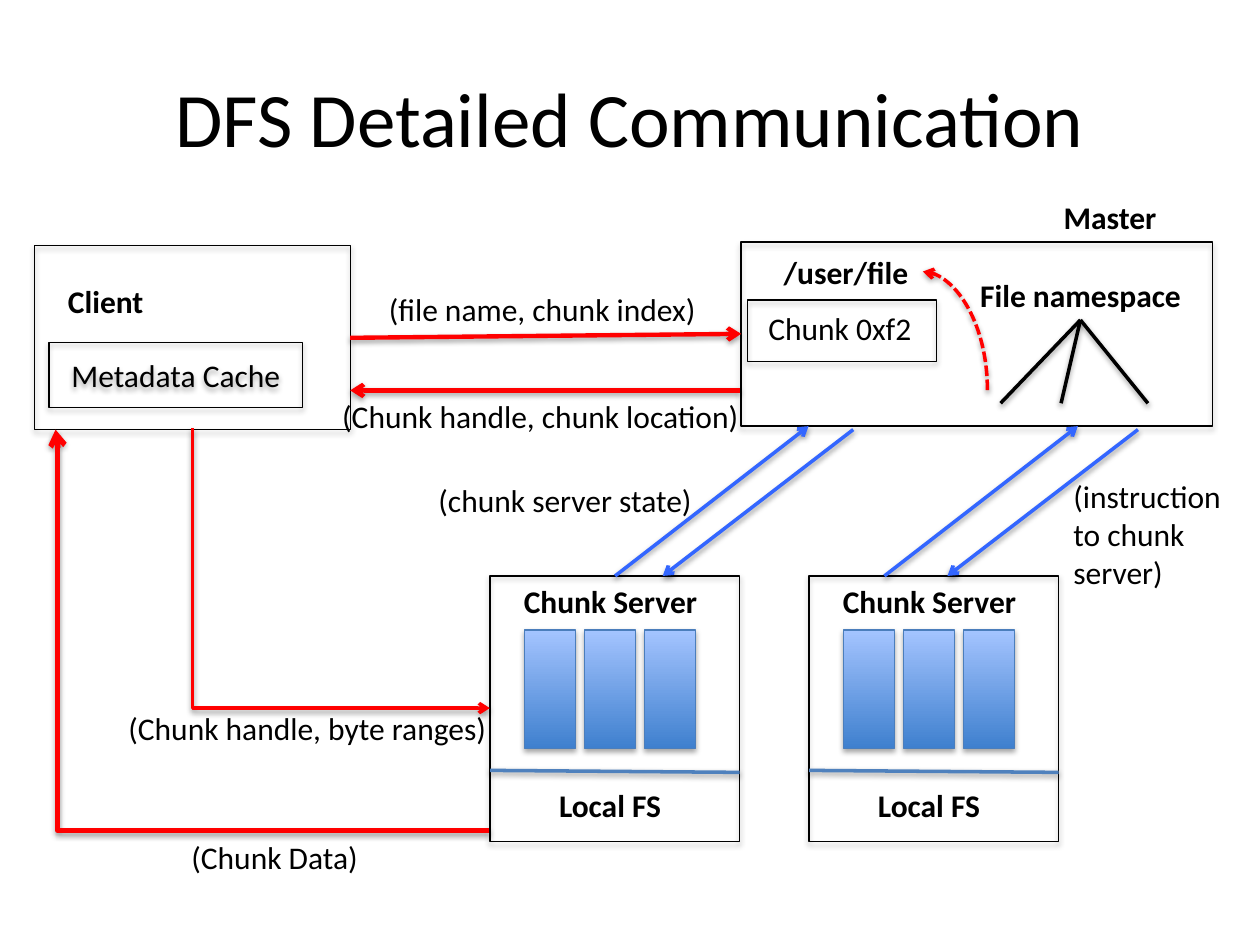
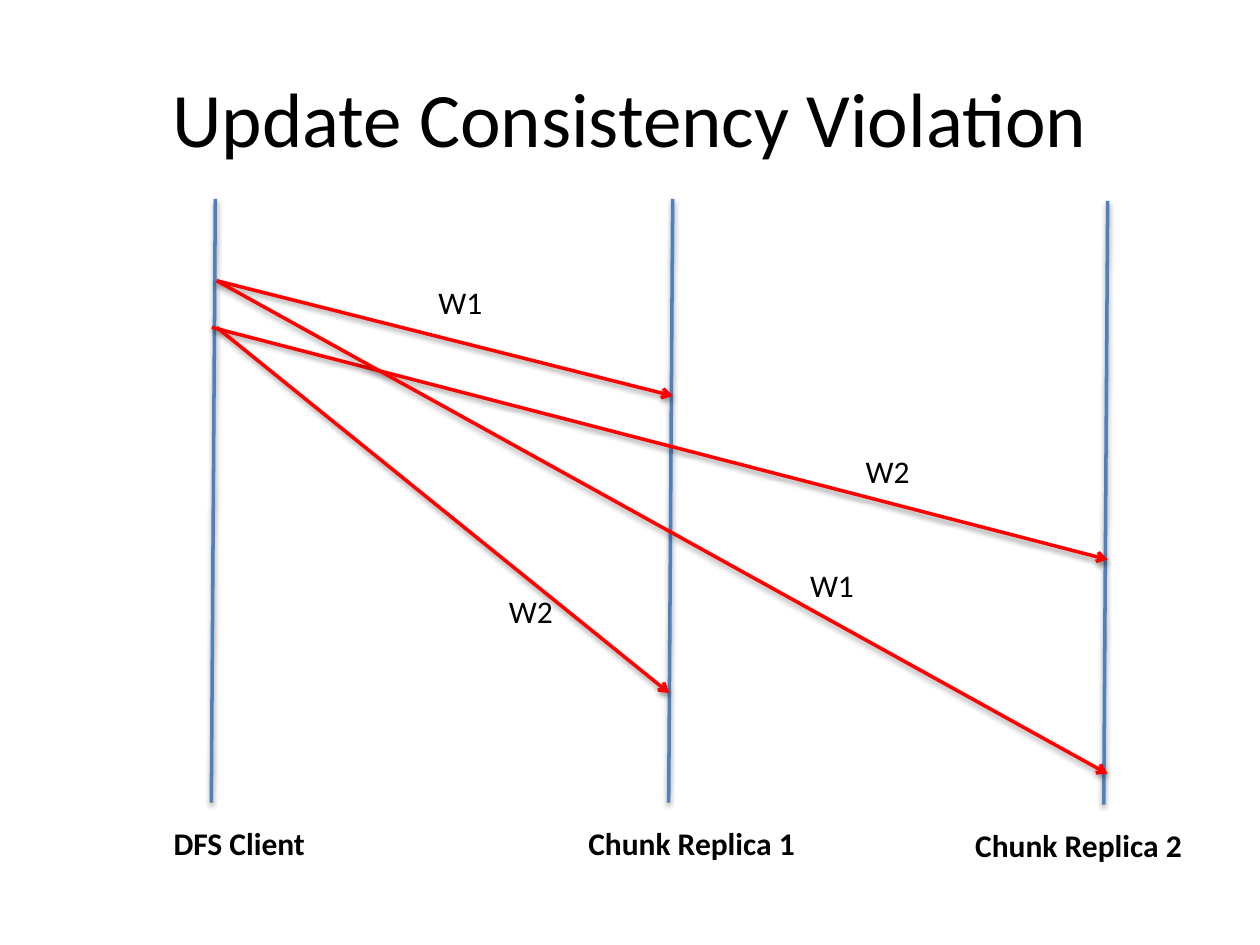
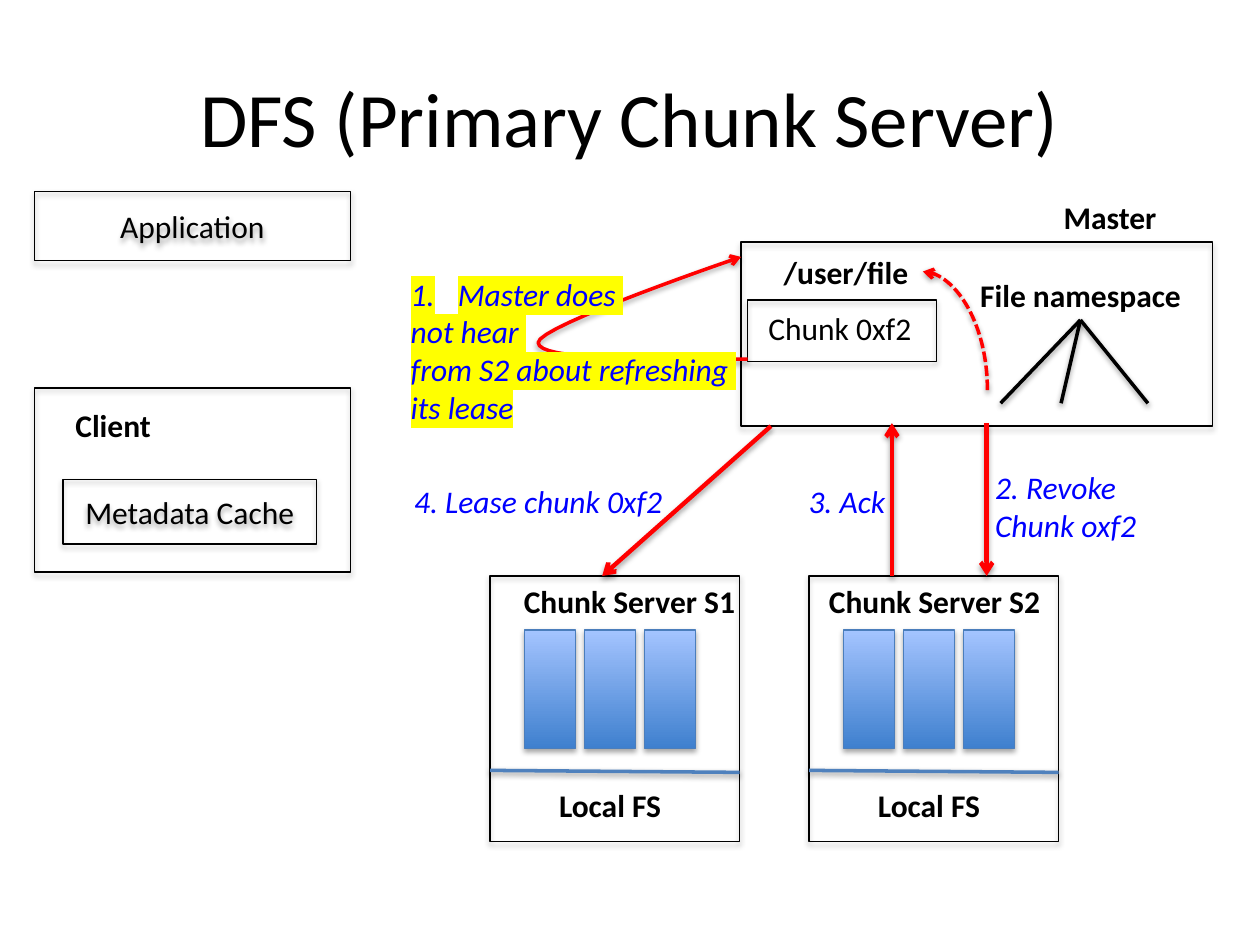
import pptx
import pptx.dml.color
import pptx.enum.dml
import pptx.enum.shapes
import pptx.enum.text
import pptx.oxml
import pptx.oxml.ns
import pptx.util

Cm = pptx.util.Cm
Pt = pptx.util.Pt
RGBColor = pptx.dml.color.RGBColor
CONNECTOR = pptx.enum.shapes.MSO_CONNECTOR
RECT = pptx.enum.shapes.MSO_SHAPE.RECTANGLE
qn = pptx.oxml.ns.qn

BLACK = RGBColor(0x00, 0x00, 0x00)
RED = RGBColor(0xFF, 0x00, 0x00)
BLUE = RGBColor(0x00, 0x00, 0xFF)
STATE_BLUE = RGBColor(0x33, 0x66, 0xFF)
LINE_BLUE = RGBColor(0x4F, 0x81, 0xBD)
BAR_LINE = RGBColor(0x4B, 0x7E, 0xBC)
BAR_DARK = RGBColor(0x3F, 0x80, 0xCE)
BAR_LIGHT = RGBColor(0xA4, 0xC4, 0xFF)
YELLOW = RGBColor(0xFF, 0xFF, 0x00)

BODY = {"name": "Calibri", "size": Pt(18)}
BOLD = {**BODY, "bold": True}
STEP = {**BODY, "italic": True}
TITLE = {"name": "Calibri", "size": Pt(44)}

SERVER_Y = 11.61
SERVER_XS = (9.88, 16.31)
MASTER_AT = (14.94, 4.88)


def xml(tag, parent, **attrs):
    el = parent.makeelement(qn(tag), attrs)
    parent.append(el)
    return el


def format_run(r, fmt, color):
    for key, value in fmt.items():
        setattr(r.font, key, value)
    r.font.color.rgb = color


def write(tf, lines, fmt=BODY, color=BLACK, align=None):
    for i, line in enumerate(lines):
        p = tf.paragraphs[0] if i == 0 else tf.add_paragraph()
        p.alignment = align
        r = p.add_run()
        r.text = line
        format_run(r, fmt, color)


def label(s, x, y, w, text, fmt=BODY, color=BLACK, wrap=False):
    lines = text.split("\n")
    h = 1.02 + 0.77 * (len(lines) - 1)
    sp = s.shapes.add_textbox(Cm(x), Cm(y), Cm(w), Cm(h))
    tf = sp.text_frame
    tf.word_wrap = wrap
    tf.auto_size = pptx.enum.text.MSO_AUTO_SIZE.SHAPE_TO_FIT_TEXT
    write(tf, lines, fmt, color)
    return tf


def box(s, x, y, w, h, text=None):
    sp = s.shapes.add_shape(RECT, Cm(x), Cm(y), Cm(w), Cm(h))
    sp.fill.background()
    sp.line.color.rgb = BLACK
    sp.line.width = Pt(0.75)
    if text:
        tf = sp.text_frame
        tf.vertical_anchor = pptx.enum.text.MSO_ANCHOR.MIDDLE
        write(tf, [text], align=pptx.enum.text.PP_ALIGN.CENTER)
    return sp


def style_line(sp, color, width, arrow=False, dash=None):
    sp.line.color.rgb = color
    sp.line.width = Pt(width)
    if dash:
        sp.line.dash_style = dash
    if arrow:
        xml("a:tailEnd", sp.line._get_or_add_ln(), type="arrow")


def connect(s, x1, y1, x2, y2, color, width=2, arrow=False):
    c = s.shapes.add_connector(CONNECTOR.STRAIGHT, Cm(x1), Cm(y1), Cm(x2), Cm(y2))
    style_line(c, color, width, arrow)


def turn(s, kind, preset, x, y, w, h, rot, flip=None, adj=None, width=2, dash=None):
    c = s.shapes.add_connector(kind, Cm(x), Cm(y), Cm(x + w), Cm(y + h))
    spPr = c._element.spPr
    xfrm = spPr.find(qn("a:xfrm"))
    xfrm.set("rot", str(rot * 60000))
    if flip:
        xfrm.set(flip, "1")
    geom = spPr.find(qn("a:prstGeom"))
    geom.set("prst", preset)
    if adj:
        xml("a:gd", geom.find(qn("a:avLst")), name="adj1", fmla=f"val {adj}")
    style_line(c, RED, width, True, dash)


def curve_points(p0, p1, p2, p3, steps=16):
    for i in range(1, steps + 1):
        t = i / steps
        u = 1 - t
        yield tuple(Cm(u**3 * a + 3 * u * u * t * b + 3 * u * t * t * c + t**3 * d)
                    for a, b, c, d in zip(p0, p1, p2, p3))


def titled_slide(prs, text):
    s = prs.slides.add_slide(prs.slide_layouts[5])
    sp = s.shapes.title
    place = {"left": Cm(1.27), "top": Cm(0.76), "width": Cm(22.86), "height": Cm(3.18)}
    for key, value in place.items():
        setattr(sp, key, value)
    sp.text_frame.vertical_anchor = pptx.enum.text.MSO_ANCHOR.MIDDLE
    write(sp.text_frame, [text], TITLE, align=pptx.enum.text.PP_ALIGN.CENTER)
    return s


def master(s, x, y):
    box(s, x, y, 9.5, 3.71)
    box(s, x + 0.13, y + 1.17, 3.81, 1.24)
    label(s, x + 6.25, y - 1.02, 2.41, "Master", BOLD)
    label(s, x + 0.61, y + 0.1, 3.05, "/user/file", BOLD)
    label(s, x + 0.3, y + 1.22, 3.43, "Chunk 0xf2")
    for leaf in (5.23, 6.45, 8.2):
        connect(s, x + 6.84, y + 1.57, x + leaf, y + 3.25, BLACK)
    label(s, x + 4.57, y + 0.56, 4.6, "File namespace", BOLD)
    turn(s, CONNECTOR.CURVE, "curvedConnector2", x + 3.12, y + 1.14, 2.39, 1.3,
         270, "flipV", dash=pptx.enum.dml.MSO_LINE.SQUARE_DOT)


def chunk_server(s, x, y, name, name_dx=0.43, name_w=4.04):
    box(s, x, y, 5.03, 5.36)
    label(s, x + name_dx, y, name_w, name, BOLD)
    for i in range(3):
        sp = box(s, x + 0.7 + 1.21 * i, y + 1.09, 1.02, 2.39)
        sp.line.color.rgb = BAR_LINE
        sp.fill.gradient()
        sp.fill.gradient_angle = 90
        for stop, color in zip(sp.fill.gradient_stops, (BAR_DARK, BAR_LIGHT)):
            stop.color.rgb = color
    connect(s, x, y + 3.92, x + 5.03, y + 3.96, LINE_BLUE)
    label(s, x + 1.14, y + 4.11, 2.67, "Local FS", BOLD)


def client(s, x, y, cache_at, name_at):
    box(s, x, y, 6.38, 3.71)
    box(s, x + cache_at[0], y + cache_at[1], 5.11, 1.3, "Metadata Cache")
    label(s, x + name_at[0], y + name_at[1], 2.06, "Client", BOLD)


def communication_slide(prs):
    s = titled_slide(prs, "DFS Detailed Communication")
    master(s, *MASTER_AT)
    for x in SERVER_XS:
        chunk_server(s, x, SERVER_Y, "Chunk Server")
    client(s, 0.69, 4.95, (0.3, 1.96), (0.43, 0.61))
    connect(s, 7.06, 6.81, 14.94, 6.73, RED, 2.5, True)
    connect(s, 14.92, 7.87, 7.06, 7.87, RED, 2.5, True)
    turn(s, CONNECTOR.ELBOW, "bentConnector2", 4.06, 8.46, 5.64, 5.99, 270, "flipH")
    turn(s, CONNECTOR.ELBOW, "bentConnector3", 1.12, 8.66, 8.74, 8.08, 180,
         adj=99500, width=3)
    for state_x, order_x in ((12.4, 17.2), (17.83, 22.94)):
        connect(s, state_x, SERVER_Y, state_x + 3.9, 8.59, STATE_BLUE, arrow=True)
        connect(s, order_x, 8.66, order_x - 3.84, SERVER_Y, STATE_BLUE, arrow=True)
    for x, y, w, text in (
        (7.59, 5.72, 6.76, "(file name, chunk index)"),
        (6.65, 7.87, 8.59, "(Chunk handle, chunk location)"),
        (2.34, 14.17, 7.82, "(Chunk handle, byte ranges)"),
        (3.61, 16.76, 3.91, "(Chunk Data)"),
        (21.39, 9.5, 3.53, "(instruction\nto chunk\nserver)"),
        (8.59, 9.58, 5.69, "(chunk server state)"),
    ):
        label(s, x, y, w, text)


def violation_slide(prs):
    s = titled_slide(prs, "Update Consistency Violation")
    for x, y, name, name_x, name_w in (
        (4.34, 4.01, "DFS Client", 3.25, 3.2),
        (13.56, 4.01, "Chunk Replica 1", 11.61, 4.72),
        (22.33, 4.05, "Chunk Replica 2", 19.41, 4.72),
    ):
        connect(s, x, y, x - 0.08, y + 12.17, LINE_BLUE)
        label(s, name_x, y + 12.48, name_w, name, BOLD)
    for ends, name, x, y in (
        ((4.37, 5.66, 13.56, 7.98), "W1", 8.59, 5.59),
        ((4.27, 6.6, 22.33, 11.28), "W2", 17.2, 8.99),
        ((4.37, 5.66, 22.33, 15.6), "W1", 16.08, 11.28),
        ((4.37, 6.6, 13.49, 13.97), "W2", 10.01, 11.81),
    ):
        connect(s, *ends, RED, arrow=True)
        label(s, x, y, 1.4, name)


def missed_lease(s, x, y):
    start, bend, end = (x + 7.04, y + 1.83), (x + 2.82, y + 1.5), (x + 6.91, y - 0.23)
    fb = s.shapes.build_freeform(Cm(start[0]), Cm(start[1]))
    points = [
        *curve_points(start, (x + 4.95, y + 1.83), (x + 2.84, y + 1.85), bend),
        *curve_points(bend, (x + 2.79, y + 1.17), end, end),
    ]
    fb.add_line_segments(points, close=False)
    sp = fb.convert_to_shape()
    sp.fill.background()
    style_line(sp, RED, 2, True)

    tf = label(s, x, y, 7.16,
               "Master does \nnot hear \nfrom S2 about refreshing \nits lease",
               STEP, BLUE, wrap=True)
    pPr = tf.paragraphs[0]._p.get_or_add_pPr()
    pPr.set("marL", str(Cm(0.95)))
    pPr.set("indent", str(-Cm(0.95)))
    xml("a:buFont", pPr, typeface="+mj-lt")
    xml("a:buAutoNum", pPr, type="arabicPeriod")
    for p in tf.paragraphs:
        rPr = p.runs[0]._r.get_or_add_rPr()
        mark = rPr.makeelement(qn("a:highlight"), {})
        xml("a:srgbClr", mark, val=str(YELLOW))
        rPr.find(qn("a:solidFill")).addnext(mark)


def primary_slide(prs):
    s = titled_slide(prs, "DFS (Primary Chunk Server)")
    master(s, *MASTER_AT)
    for x, name, dx in zip(SERVER_XS, ("S1", "S2"), (0.43, 0.15)):
        chunk_server(s, x, SERVER_Y, f"Chunk Server {name}", dx, 4.83)
    client(s, 0.69, 7.82, (0.58, 1.85), (0.58, 0.25))
    box(s, 0.69, 3.86, 6.38, 1.4, "Application")
    missed_lease(s, 8.03, 5.41)
    for ends, x, y, w, text in (
        ((19.89, 8.53, 19.89, SERVER_Y), 19.81, 9.32, 3.56, "2. Revoke\nChunk oxf2"),
        ((17.98, SERVER_Y, 17.98, 8.53), 16.05, 9.6, 2.24, "3. Ack"),
        ((15.54, 8.59, 12.14, SERVER_Y), 8.1, 9.6, 5.89, "4. Lease chunk 0xf2"),
    ):
        connect(s, *ends, RED, 2.5, True)
        label(s, x, y, w, text, STEP, BLUE)


def main():
    prs = pptx.Presentation()
    prs.slide_width = Cm(25.4)
    prs.slide_height = Cm(19.05)
    communication_slide(prs)
    violation_slide(prs)
    primary_slide(prs)
    prs.save("out.pptx")


if __name__ == "__main__":
    main()
